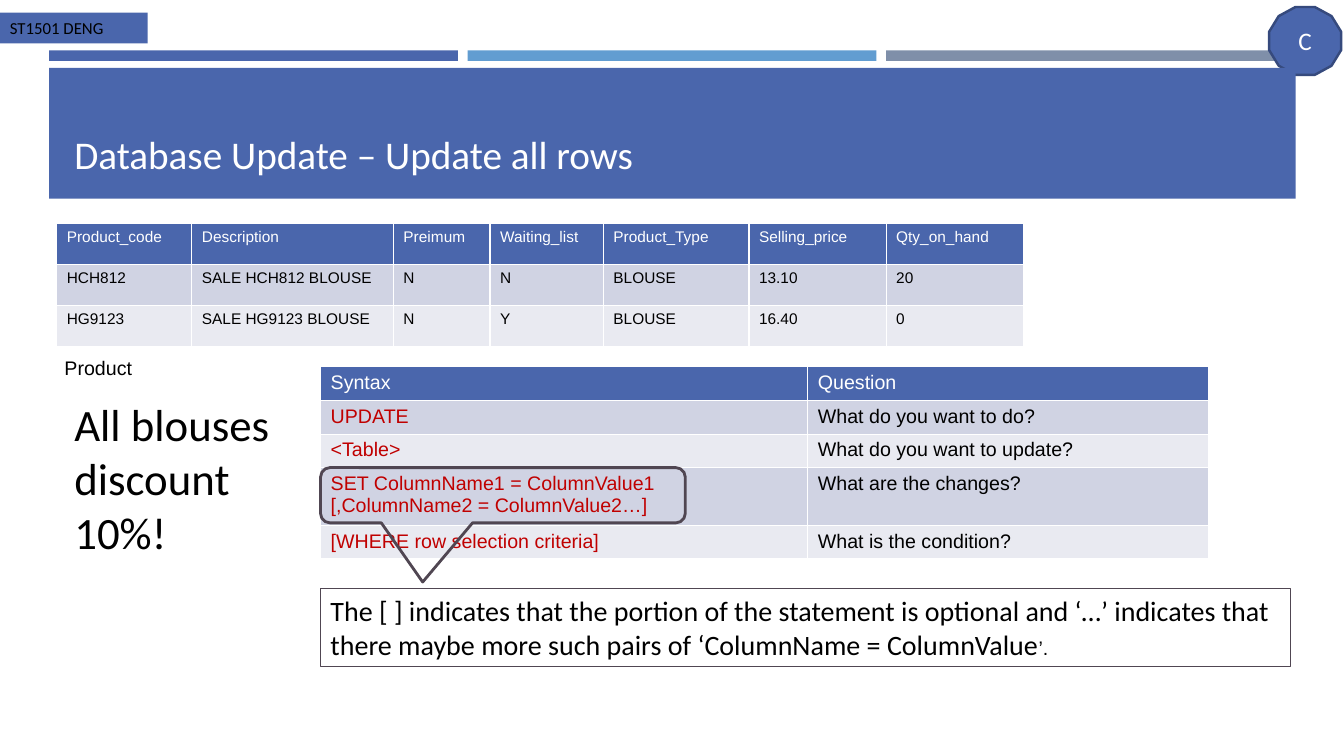
from dataclasses import dataclass

from pptx import Presentation
from pptx.dml.color import RGBColor
from pptx.enum.shapes import MSO_SHAPE as Shape
from pptx.enum.text import MSO_ANCHOR as Anchor, PP_ALIGN as Align
from pptx.util import Pt


@dataclass(frozen=True)
class Theme:
    blue: str = "4A66AC"
    sky: str = "629DD1"
    slate: str = "7F8FA9"
    navy: str = "364A7D"
    outline: str = "504652"
    red: str = "C00000"
    black: str = "000000"
    white: str = "FFFFFF"
    bands: tuple = ("D0D3E3", "E9EAF1")
    body_font: str = "Calibri"
    data_font: str = "Arial"
    tiny: int = 11
    tag: int = 12
    small: int = 14
    badge: int = 18
    note: int = 20
    title: int = 28
    offer: int = 32


class SlideBuilder:
    def __init__(self, slide, theme):
        self.shapes = slide.shapes
        self.theme = theme

    def style(self, para, size, color, font):
        for span in para.runs:
            span.font.size = Pt(size)
            span.font.name = font
            span.font.bold = False
            span.font.color.rgb = RGBColor.from_string(color)

    def fill_text(self, frame, text, size, color=None, font=None,
                  anchor=Anchor.TOP, align=Align.LEFT, wrap=True):
        frame.text = text
        frame.word_wrap = wrap
        frame.vertical_anchor = anchor
        for para in frame.paragraphs:
            para.alignment = align
            self.style(para, size, color or self.theme.black,
                       font or self.theme.body_font)

    def shape(self, kind, bounds, fill=None, line=None, line_width=1):
        shape = self.shapes.add_shape(kind, *map(Pt, bounds))
        shape.shadow.inherit = False
        if fill:
            shape.fill.solid()
            shape.fill.fore_color.rgb = RGBColor.from_string(fill)
        else:
            shape.fill.background()
        if line:
            shape.line.color.rgb = RGBColor.from_string(line)
            shape.line.width = Pt(line_width)
        else:
            shape.line.fill.background()
        return shape

    def text(self, bounds, text, size, **options):
        box = self.shapes.add_textbox(*map(Pt, bounds))
        self.fill_text(box.text_frame, text, size, **options)

    def table(self, left, top, widths, heights, rows, size, first_color):
        """Add a banded table whose first column has its own body text colour."""
        theme = self.theme
        table = self.shapes.add_table(
            len(rows), len(widths), Pt(left), Pt(top),
            Pt(sum(widths)), Pt(sum(heights))).table
        for column, width in zip(table.columns, widths):
            column.width = Pt(width)
        for r, (values, height) in enumerate(zip(rows, heights)):
            table.rows[r].height = Pt(height)
            for c, value in enumerate(values):
                cell = table.cell(r, c)
                if r == 0:
                    fill, color = theme.blue, theme.white
                else:
                    fill = theme.bands[(r - 1) % 2]
                    color = first_color if c == 0 else theme.black
                cell.fill.solid()
                cell.fill.fore_color.rgb = RGBColor.from_string(fill)
                cell.text = value
                self.style(cell.text_frame.paragraphs[0], size, color,
                           theme.data_font)


def add_header(builder):
    theme = builder.theme
    for i, color in enumerate((theme.blue, theme.sky, theme.slate)):
        builder.shape(Shape.RECTANGLE, (35 + 299 * i, 36, 292, 7.5), color)
    badge = builder.shape(Shape.DODECAGON, (906.5, 5, 51.5, 48.5),
                          theme.blue, theme.navy, 1.75)
    builder.fill_text(badge.text_frame, "C", theme.badge, theme.white,
                      anchor=Anchor.MIDDLE, align=Align.CENTER)
    tag = builder.shape(Shape.RECTANGLE, (0, 9, 105.5, 22), theme.blue)
    builder.fill_text(tag.text_frame, "ST1501 DENG", theme.tag)
    builder.shape(Shape.RECTANGLE, (35, 48.5, 890.5, 93.5), theme.blue)
    builder.text((46, 50.5, 868, 80), "Database Update – Update all rows",
                 theme.title, color=theme.white, anchor=Anchor.BOTTOM)


def add_product(builder):
    theme = builder.theme
    rows = (
        ("Product_code", "Description", "Preimum", "Waiting_list",
         "Product_Type", "Selling_price", "Qty_on_hand"),
        ("HCH812", "SALE HCH812 BLOUSE", "N", "N", "BLOUSE", "13.10", "20"),
        ("HG9123", "SALE HG9123 BLOUSE", "N", "Y", "BLOUSE", "16.40", "0"),
    )
    builder.table(40.5, 159.5, (96.5, 144, 69, 81, 104, 98, 98),
                  [29.3] * len(rows), rows, theme.tiny, theme.black)
    builder.text((39, 250.5, 63.5, 24.5), "Product", theme.small,
                 font=theme.data_font, wrap=False)
    builder.text((46, 280, 267, 124), "All blouses discount\n10%!", theme.offer)


def add_syntax(builder):
    theme = builder.theme
    rows = (
        ("Syntax", "Question"),
        ("UPDATE", "What do you want to do?"),
        ("<Table>", "What do you want to update?"),
        ("SET ColumnName1 = ColumnValue1 [,ColumnName2 = ColumnValue2…]",
         "What are the changes?"),
        ("[WHERE row selection criteria]", "What is the condition?"),
    )
    left = 229
    builder.table(left, 262, (348, 286.5), (24, 24, 24, 41, 24), rows,
                  theme.small, theme.red)
    callout = builder.shape(Shape.ROUNDED_RECTANGULAR_CALLOUT,
                            (left, 334, 260.5, 39.5), line=theme.outline,
                            line_width=2)
    for i, value in enumerate((-0.22, 1.57, 0.17)):
        callout.adjustments[i] = value

    note = builder.shape(Shape.RECTANGLE, (left, 420.5, 692.5, 55.5),
                         line=theme.outline, line_width=0.75)
    frame = note.text_frame
    builder.fill_text(
        frame,
        "The [ ] indicates that the portion of the statement is optional "
        "and ‘…’ indicates that\n"
        "there maybe more such pairs of ‘ColumnName = ColumnValue",
        theme.note, wrap=False)
    ending = frame.paragraphs[-1].add_run()
    ending.text = "’."
    ending.font.size = Pt(theme.small)
    ending.font.name = theme.data_font
    ending.font.color.rgb = RGBColor.from_string(theme.black)


def main():
    deck = Presentation()
    deck.slide_width, deck.slide_height = Pt(960), Pt(540)
    page = deck.slides.add_slide(deck.slide_layouts[6])
    builder = SlideBuilder(page, Theme())
    add_header(builder)
    add_product(builder)
    add_syntax(builder)
    deck.save("out.pptx")


if __name__ == "__main__":
    main()
